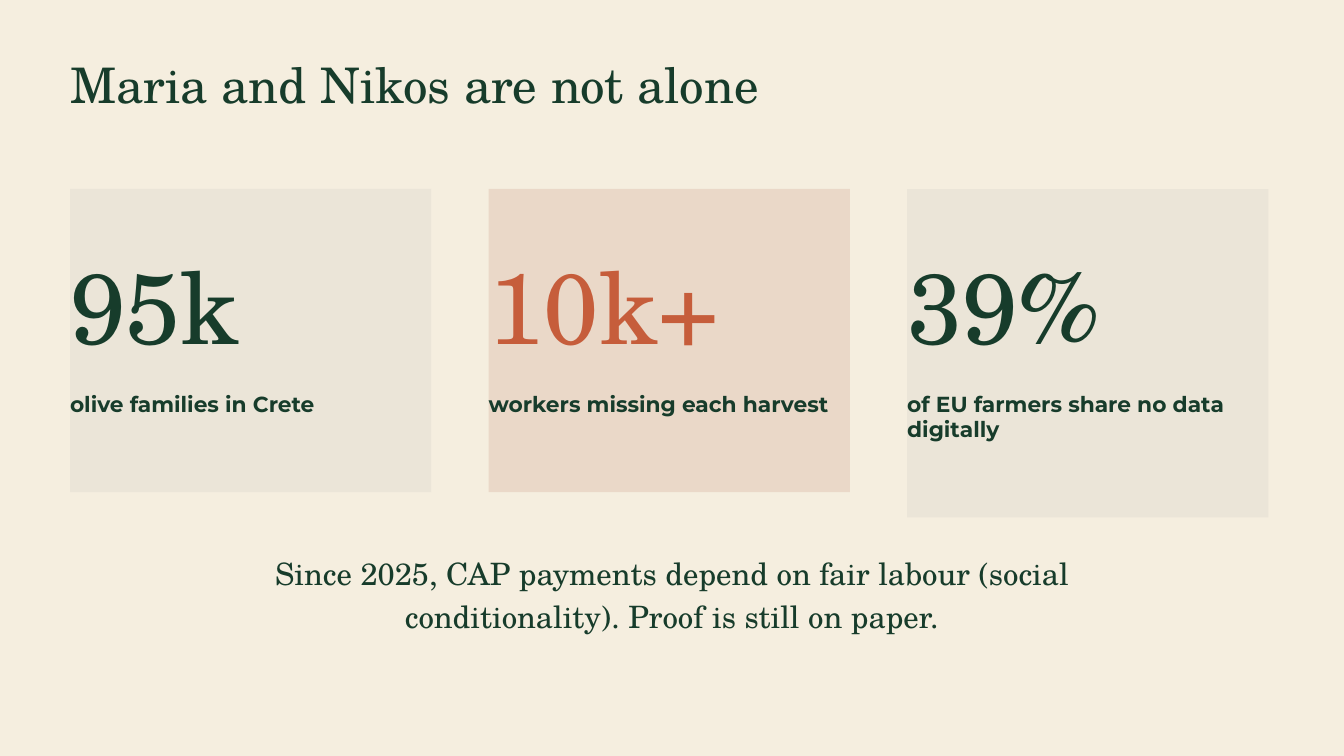
from pptx import Presentation
from pptx.dml.color import RGBColor
from pptx.enum.shapes import MSO_SHAPE
from pptx.enum.text import MSO_ANCHOR, MSO_AUTO_SIZE, PP_ALIGN
from pptx.util import Emu, Pt

TITLE = "Maria and Nikos are not alone"
CARDS = [
    ("95k", "olive families in Crete", 1, "EBE5D8", "173C2B"),
    ("10k+", "workers missing each harvest", 1, "EAD8C8", "C65D3B"),
    ("39%", "of EU farmers share no data digitally", 2, "EBE5D8", "173C2B"),
]
NOTE = ("Since 2025, CAP payments depend on fair labour "
        "(social conditionality). Proof is still on paper.")

GREEN = "173C2B"
SERIF = "TeX Gyre Schola"
HEAD = dict(name=SERIF, size=Pt(52.5), bold=False)
FIGURE = dict(name=SERIF, size=Pt(106.7), bold=False)
LABEL = dict(name="Montserrat", size=Pt(23.3), bold=True)
CLOSE = dict(name=SERIF, size=Pt(33), bold=False)
FRAME = dict(margin_left=0, margin_top=0, margin_right=0, margin_bottom=0,
             word_wrap=True, auto_size=MSO_AUTO_SIZE.NONE,
             vertical_anchor=MSO_ANCHOR.TOP)

LEFT, TOP, WIDTH, STEP = 100, 270, 516, 598
BASE, LINE = 397, 36


def px(*sizes):
    return [Emu(size * 6350 * 3 // 2) for size in sizes]


def color(code):
    return RGBColor.from_string(code)


def write(shape, text, font, lead, ink=GREEN, align=PP_ALIGN.LEFT):
    frame = shape.text_frame
    for key, value in FRAME.items():
        setattr(frame, key, value)
    para = frame.paragraphs[0]
    para.text = text
    para.alignment = align
    para.line_spacing = Pt(lead)
    for key, value in font.items():
        setattr(para.runs[0].font, key, value)
    para.runs[0].font.color.rgb = color(ink)


def card(slide, left, figure, label, lines, fill, ink):
    group = slide.shapes.add_group_shape().shapes
    panel = group.add_shape(MSO_SHAPE.RECTANGLE,
                            *px(left, TOP, WIDTH, BASE + lines * LINE))
    panel.shadow.inherit = False
    panel.fill.solid()
    panel.fill.fore_color.rgb = color(fill)
    panel.line.fill.background()
    write(group.add_textbox(*px(left, 321, WIDTH, 187)), figure, FIGURE, 149.3, ink)
    write(group.add_textbox(*px(left, 560, WIDTH, lines * LINE)), label, LABEL, 26.8)


def main():
    deck = Presentation()
    deck.slide_width, deck.slide_height = px(1920, 1080)
    slide = deck.slides.add_slide(deck.slide_layouts[5])
    slide.background.fill.solid()
    slide.background.fill.fore_color.rgb = color("F5EEDF")

    title = slide.shapes.title
    title.left, title.top, title.width, title.height = px(LEFT, 90, 1500, 74)
    write(title, TITLE, HEAD, 53.5)

    for i, row in enumerate(CARDS):
        card(slide, LEFT + i * STEP, *row)

    note = slide.shapes.add_textbox(*px(260, 784, 1400, 119))
    write(note, NOTE, CLOSE, 46.2, align=PP_ALIGN.CENTER)
    deck.save("out.pptx")


if __name__ == "__main__":
    main()
